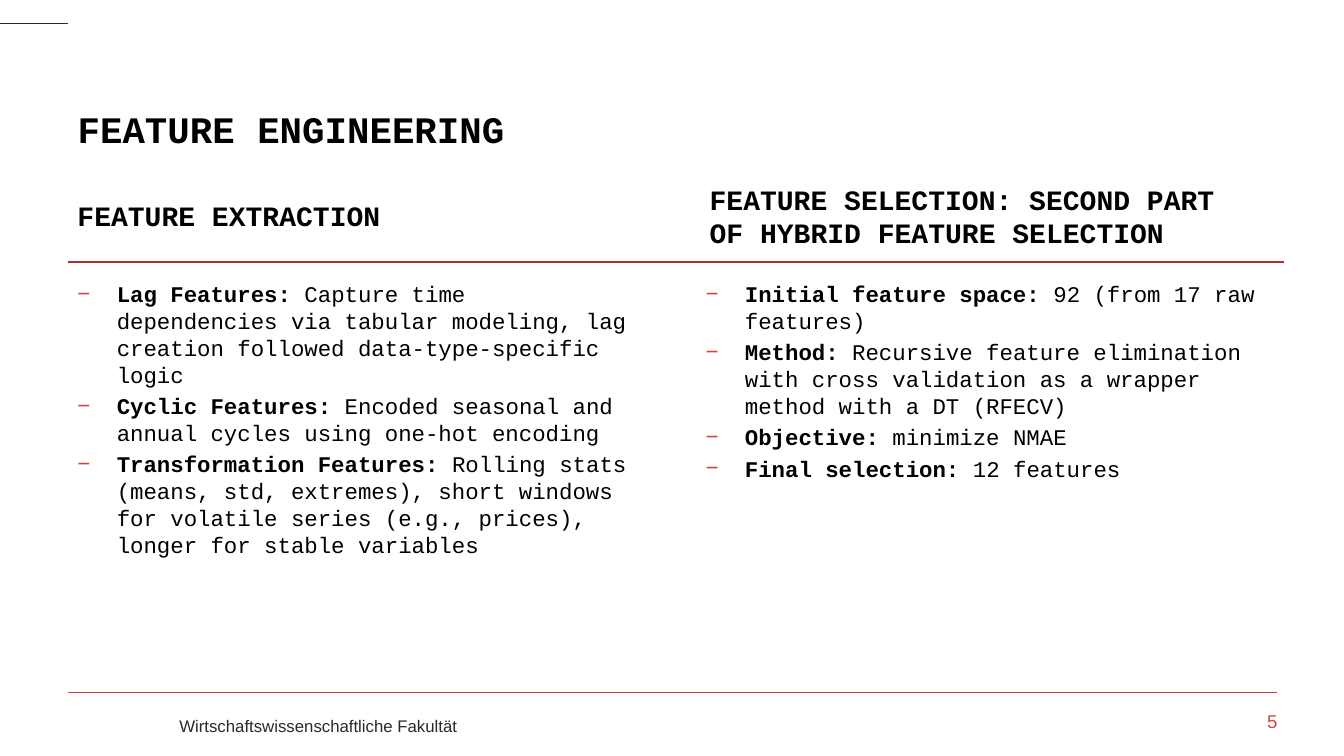
"""Build the feature engineering slide."""
from lxml.etree import SubElement
from pptx import Presentation
from pptx.dml.color import RGBColor
from pptx.enum.text import MSO_ANCHOR, PP_ALIGN
from pptx.oxml.ns import qn
from pptx.util import Inches, Pt

RED = "D8413E"
DARK = "262A31"
MONO = "Courier New"


def hue(code):
    return RGBColor.from_string(code)


def write(para, text, size=16, bold=False, face=MONO, color="000000"):
    run = para.add_run()
    run.text = text
    font = run.font
    font.size, font.bold, font.name = Pt(size), bold, face
    font.color.rgb = hue(color)


deck = Presentation()
deck.slide_width, deck.slide_height = Inches(13.33), Inches(7.5)
slide = deck.slides.add_slide(deck.slide_layouts[5])
shapes = slide.shapes

title = shapes.title
title.left, title.top = Inches(0.67), Inches(0.44)
title.width, title.height = Inches(12.01), Inches(1.11)
title.text_frame.vertical_anchor = MSO_ANCHOR.BOTTOM
para = title.text_frame.paragraphs[0]
para.alignment = PP_ALIGN.LEFT
write(para, "FEATURE ENGINEERING", size=26.7, bold=True)

rules = [
    (0, 0.67, 0.23, DARK, 0.25),
    (0.67, 12.67, 6.87, RED, 0.25),
    (0.67, 12.74, 2.6, "B02F2C", 2),
]
for start, end, y, color, width in rules:
    rule = shapes.add_connector(1, Inches(start), Inches(y), Inches(end), Inches(y))
    rule.line.color.rgb = hue(color)
    rule.line.width = Pt(width)
    SubElement(rule._element.spPr, qn("a:effectLst"))

heads = [
    (0.67, "FEATURE EXTRACTION"),
    (6.94, "FEATURE SELECTION: SECOND PART OF HYBRID FEATURE SELECTION"),
]
for x, text in heads:
    frame = shapes.add_textbox(Inches(x), Inches(1.73), Inches(5.7), Inches(0.82)).text_frame
    frame.word_wrap = True
    frame.vertical_anchor = MSO_ANCHOR.MIDDLE
    write(frame.paragraphs[0], text, size=20, bold=True)

lists = [
    (0.67, [
        ("Lag Features:", "Capture time dependencies via tabular modeling, "
         "lag creation followed data-type-specific logic"),
        ("Cyclic Features:", "Encoded seasonal and annual cycles using one-hot encoding"),
        ("Transformation Features:", "Rolling stats (means, std, extremes), short windows "
         "for volatile series (e.g., prices), longer for stable variables"),
    ]),
    (6.9, [
        ("Initial feature space:", "92 (from 17 raw features)"),
        ("Method:", "Recursive feature elimination with cross validation "
         "as a wrapper method with a DT (RFECV)"),
        ("Objective:", "minimize NMAE"),
        ("Final selection:", "12 features"),
    ]),
]
for x, items in lists:
    frame = shapes.add_textbox(Inches(x), Inches(2.73), Inches(5.77), Inches(4.34)).text_frame
    frame.word_wrap = True
    for i, (term, text) in enumerate(items):
        para = frame.add_paragraph() if i else frame.paragraphs[0]
        if i:
            para.space_before = Pt(3.2)
        props = para._p.get_or_add_pPr()
        props.set("marL", str(Inches(0.39)))
        props.set("indent", str(-Inches(0.39)))
        tint = SubElement(props, qn("a:buClr"))
        SubElement(tint, qn("a:srgbClr"), val=RED)
        SubElement(props, qn("a:buFont"), typeface="Arial")
        SubElement(props, qn("a:buChar"), char="−")
        write(para, term, bold=True)
        write(para, " " + text)

foot = shapes.add_textbox(Inches(1.68), Inches(7.05), Inches(4.98), Inches(0.3))
write(foot.text_frame.paragraphs[0], "Wirtschaftswissenschaftliche Fakultät",
      size=12, face="Arial", color=DARK)

page = shapes.add_textbox(Inches(11.59), Inches(7.04), Inches(1.08), Inches(0.3)).text_frame
page.margin_left = page.margin_right = page.margin_top = page.margin_bottom = 0
page.paragraphs[0].alignment = PP_ALIGN.RIGHT
write(page.paragraphs[0], "5", size=13.3, face="Arial", color=RED)

deck.save("out.pptx")
